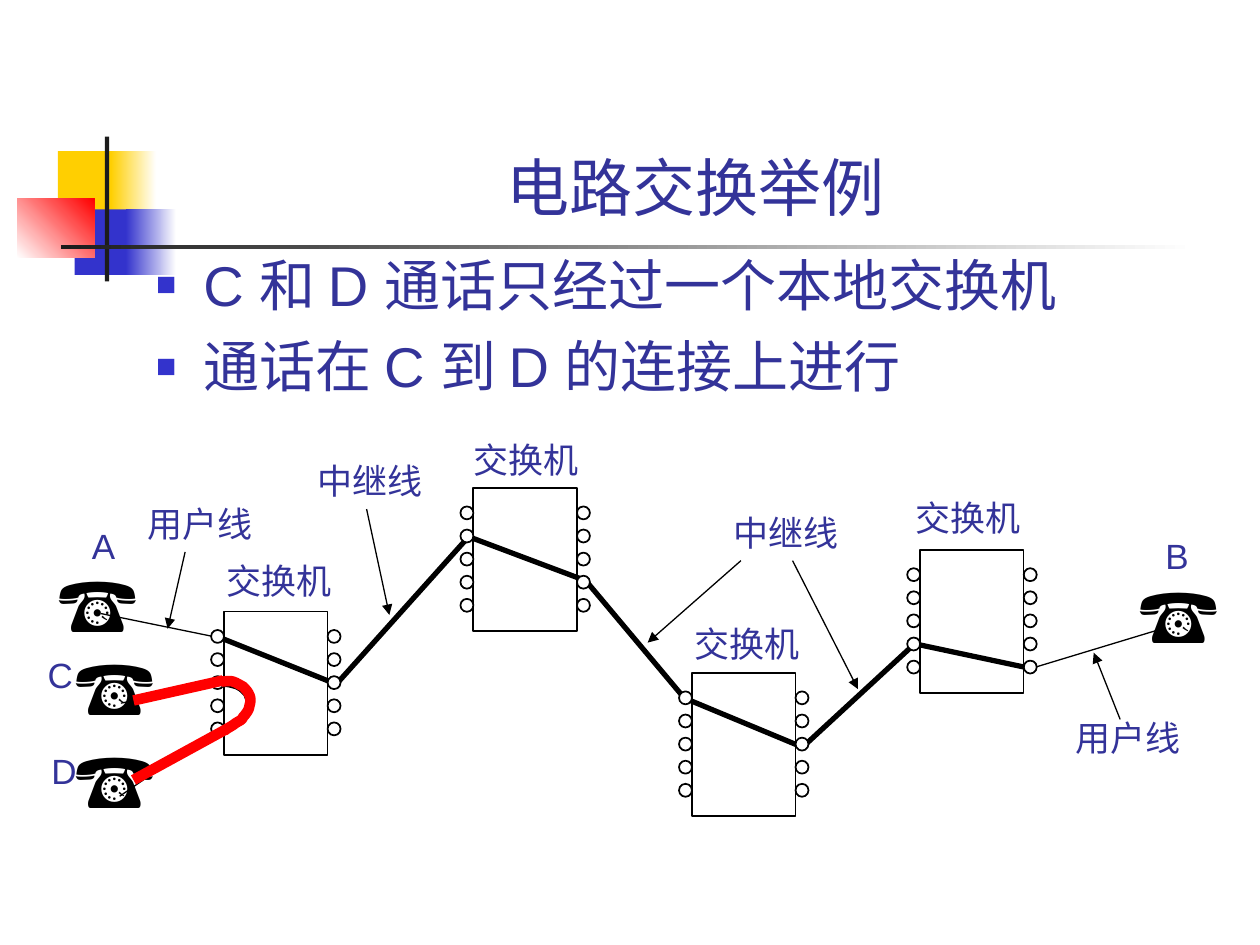
from pptx import Presentation
from pptx.dml.color import RGBColor
from pptx.enum.shapes import MSO_CONNECTOR, MSO_SHAPE as SHAPE
from pptx.enum.text import MSO_ANCHOR as ANCHOR, MSO_AUTO_SIZE as AUTO, PP_ALIGN as ALIGN
from pptx.oxml.ns import qn
from pptx.util import Pt
from lxml.etree import SubElement

BLACK, WHITE, RED = "000000", "FFFFFF", "FF0000"
NAVY, BLUE, GOLD, DARK = "333399", "3333CC", "FFCF01", "1C1C1C"


def rgb(value):
    return RGBColor.from_string(value)


def pts(*values):
    return [Pt(v) for v in values]


class Slide:
    """Current slide, its target shape collection and the shared style."""
    font = "Arial"
    label_font = "Times New Roman"

    def __init__(self, prs):
        self.s = prs.slides.add_slide(prs.slide_layouts[6])
        self.shapes = self.s.shapes

    def start_group(self):
        """Send the following elements into a new group."""
        self.shapes = self.s.shapes.add_group_shape().shapes

    def stroke(self, sp, color, width):
        sp.line.color.rgb = rgb(color)
        sp.line.width = Pt(width)

    def shape(self, kind, box, fill=None, line=None):
        sp = self.shapes.add_shape(kind, *pts(*box))
        sp.shadow.inherit = False
        if fill:
            sp.fill.solid()
            sp.fill.fore_color.rgb = rgb(fill)
        else:
            sp.fill.background()
        if line:
            self.stroke(sp, line, 1)
        else:
            sp.line.fill.background()
        return sp

    def fade(self, box, start, end, angle=0):
        sp = self.shape(SHAPE.RECTANGLE, box)
        sp.fill.gradient()
        sp.fill.gradient_angle = angle
        for stop, color, place in zip(sp.fill.gradient_stops, (start, end), (0, 1)):
            stop.color.rgb = rgb(color)
            stop.position = place

    def line(self, start, end, color=BLACK, width=0.75, arrow=False):
        cx = self.shapes.add_connector(MSO_CONNECTOR.STRAIGHT, *pts(*start, *end))
        self.stroke(cx, color, width)
        if arrow:
            SubElement(cx._element.spPr.find(qn("a:ln")), qn("a:tailEnd"), type="triangle")
        SubElement(cx._element.spPr, qn("a:effectLst"))

    def polyline(self, points, color=BLACK, width=3):
        start, *rest = [pts(*p) for p in points]
        builder = self.shapes.build_freeform(*start)
        builder.add_line_segments(rest, close=False)
        sp = builder.convert_to_shape()
        sp.shadow.inherit = False
        sp.fill.background()
        self.stroke(sp, color, width)
        return sp

    def curve(self, points, color, width):
        """Draw Bezier pieces: a start, then two controls and an end for each."""
        sp = self.polyline(points, color, width)
        segments = list(sp._element.iter(qn("a:lnTo")))
        for i in range(0, len(segments), 3):
            piece = segments[i:i + 3]
            bezier = SubElement(piece[0].getparent(), qn("a:cubicBezTo"))
            for segment in piece:
                bezier.append(segment[0])
                segment.getparent().remove(segment)

    def run(self, p, text, size, color, font):
        r = p.add_run()
        r.text = text
        r.font.size = Pt(size)
        r.font.name = font
        r.font.color.rgb = rgb(color)

    def title(self, box, text):
        tf = self.shapes.add_textbox(*pts(*box)).text_frame
        tf.word_wrap = True
        tf.vertical_anchor = ANCHOR.BOTTOM
        tf.paragraphs[0].alignment = ALIGN.CENTER
        self.run(tf.paragraphs[0], text, 36, NAVY, self.font)

    def bullets(self, box, items):
        tf = self.shapes.add_textbox(*pts(*box)).text_frame
        tf.word_wrap = True
        for i, text in enumerate(items):
            p = tf.add_paragraph() if i else tf.paragraphs[0]
            pPr = p._p.get_or_add_pPr()
            pPr.set("marL", str(Pt(27)))
            pPr.set("indent", str(-Pt(27)))
            SubElement(SubElement(pPr, qn("a:buClr")), qn("a:srgbClr"), val=BLUE)
            SubElement(pPr, qn("a:buSzPct"), val="60000")
            SubElement(pPr, qn("a:buFont"), typeface=self.font)
            SubElement(pPr, qn("a:buChar"), char="■")
            if i:
                p.space_before = Pt(8)
            self.run(p, text, 32, NAVY, self.font)

    def label(self, box, text, size=20, color=NAVY, font=None):
        tf = self.shapes.add_textbox(*pts(*box)).text_frame
        tf.word_wrap = False
        tf.auto_size = AUTO.SHAPE_TO_FIT_TEXT
        self.run(tf.paragraphs[0], text, size, color, font or self.font)

    def phone(self, x, y):
        self.label((x, y, 60.5, 60.5), "☎", 44, BLACK)

    def switch(self, x, y):
        """Draw a box with five ports on each side."""
        width, port = 59.2, 7.4
        self.shape(SHAPE.RECTANGLE, (x, y, width, 82), line=BLACK)
        for left in (x - port, x + width):
            for i in range(5):
                self.shape(SHAPE.OVAL, (left, y + 10.6 + 13.2 * i, port, port), WHITE, BLACK)


def main():
    prs = Presentation()
    prs.slide_width, prs.slide_height = pts(720, 540)
    s = Slide(prs)

    s.shape(SHAPE.RECTANGLE, (33.1, 86.4, 34.6, 37.4), GOLD)
    s.fade((63.4, 86.4, 25.9, 37.4), GOLD, WHITE)
    s.shape(SHAPE.RECTANGLE, (42.6, 119.7, 33.1, 37.4), BLUE)
    s.fade((72, 119.7, 28.8, 37.4), BLUE, WHITE)
    s.fade((9.8, 113.7, 44.2, 33.5), WHITE, RED, angle=45)
    s.shape(SHAPE.RECTANGLE, (59.9, 78, 2.5, 82.8), DARK)
    s.fade((34.8, 140.1, 648, 2.5), DARK, WHITE)

    s.title((90.7, 16.6, 613.4, 115.2), "电路交换举例")
    s.bullets((82.1, 139.7, 612, 324),
              ["C 和 D 通话只经过一个本地交换机", "通话在 C 到 D 的连接上进行"])

    s.curve([(126.7, 391), (127.4, 391), (130.3, 391), (132.5, 391.7),
             (134.6, 391.7), (136.1, 393.1), (137.5, 393.8),
             (139, 395.3), (141.1, 396.7), (141.1, 398.2),
             (141.8, 400.3), (142.6, 402.5), (141.8, 404.6),
             (141.1, 406.8), (139.7, 409.7), (138.2, 411.1),
             (137.5, 412.6), (133.9, 414), (131.8, 414.7),
             (129.6, 415.4), (126.7, 416.2), (125.3, 416.2)], BLACK, 3)
    for start, end in [((68.4, 455), (124.6, 416.2)), ((69.1, 401.8), (125.3, 391)),
                       ((588.2, 382.3), (661.7, 360)), ((57.6, 350.6), (124.6, 364.3))]:
        s.line(start, end)
    s.polyline([(123.1, 362.9), (123.8, 363.6), (192.2, 391), (267.8, 306.7),
                (334.8, 331.9), (391, 398.9), (458.6, 427), (522.7, 367.9),
                (590.4, 382.3), (589, 380.9)])

    for x, y in [(128, 349.4), (270.5, 278.8), (395.4, 384.5)]:
        s.switch(x, y)
    s.phone(26.6, 314.2)
    s.phone(644, 320.4)
    s.switch(525.8, 314.1)

    for start, end in [((105.8, 315.4), (95.8, 359.3)), ((640.1, 411.1), (625, 373)),
                       ((423.4, 320.4), (370.1, 367.2)), ((452.9, 320.4), (490.3, 393.8)),
                       ((209.5, 290.9), (222.5, 351.4))]:
        s.line(start, end, arrow=True)
    s.phone(36, 361.4)
    s.phone(36, 414.3)

    places = {
        "交换机": [(122.4, 316.1), (263.5, 247), (389.5, 352.1), (516.2, 280.1)],
        "用户线": [(77, 283.7), (607.7, 406.1)],
        "中继线": [(411.8, 288.7), (174.2, 259.2)],
    }
    for text, corners in places.items():
        for x, y in corners:
            s.label((x, y, 75.5, 31.7), text, font=s.label_font)
    for text, x, y in [("B", 658.8, 301.7), ("D", 22.3, 424.8),
                       ("C", 20.2, 370.1), ("A", 45.4, 295.9)]:
        s.label((x, y, 28.8, 31.7), text)

    s.start_group()
    s.curve([(126.7, 389.5), (128.2, 389.5), (131.8, 388.8), (133.2, 389.5),
             (135.4, 390.2), (137.5, 391.7), (139, 392.4),
             (140.4, 393.8), (141.8, 395.3), (142.6, 397.4),
             (143.3, 398.9), (143.3, 401), (142.6, 403.2),
             (142.6, 405.4), (140.4, 408.2), (139, 409.7),
             (138.2, 411.8), (136.8, 411.8), (134.6, 413.3),
             (133.2, 414.7), (129.6, 416.2), (128.2, 417.6)], RED, 6)
    s.line((76.3, 400.3), (127.4, 388.8), RED, 6)
    s.line((76.3, 445.7), (128.9, 416.9), RED, 6)

    prs.save("out.pptx")


if __name__ == "__main__":
    main()
